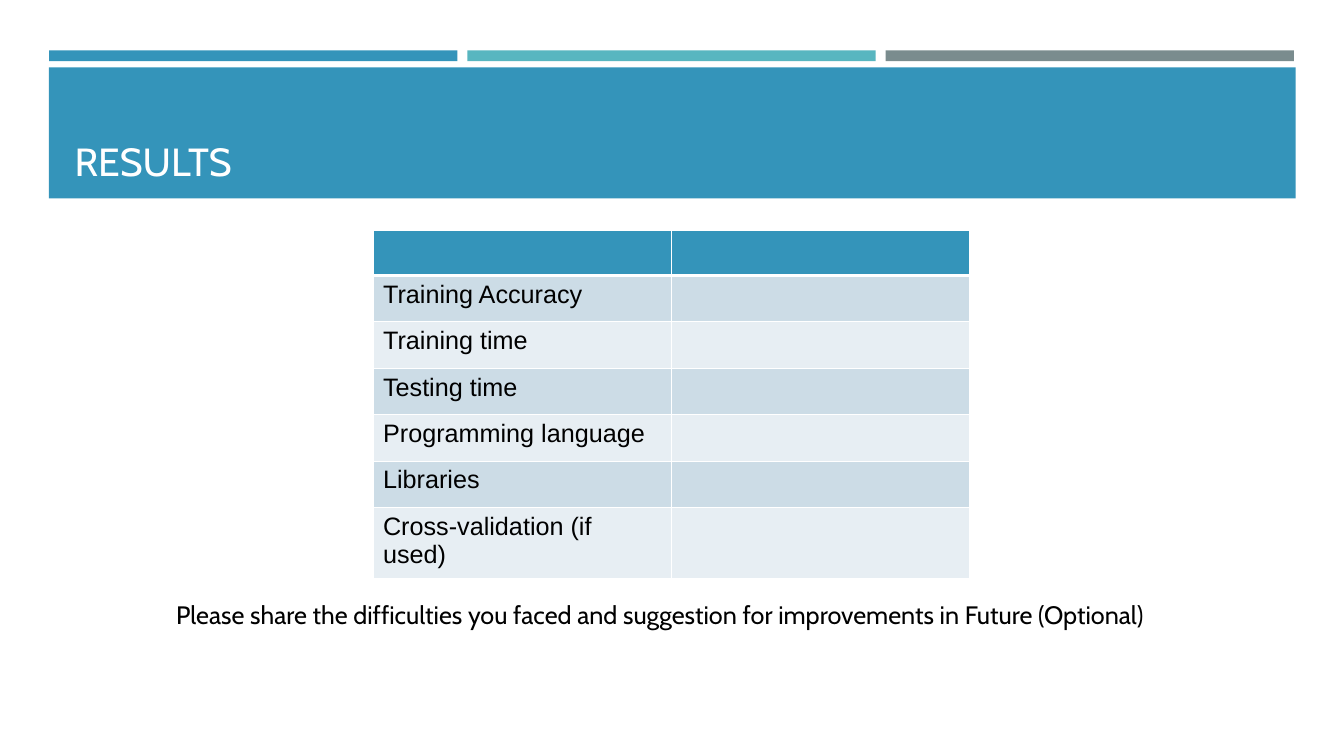
from dataclasses import dataclass

from lxml import etree
from pptx import Presentation
from pptx.dml.color import RGBColor
from pptx.enum.shapes import MSO_SHAPE
from pptx.enum.text import MSO_ANCHOR
from pptx.oxml.ns import qn
from pptx.util import Cm, Pt

RECTANGLE = MSO_SHAPE.RECTANGLE
TOP, BOTTOM = MSO_ANCHOR.TOP, MSO_ANCHOR.BOTTOM


@dataclass(frozen=True)
class Theme:
    blue: str = "3494BA"
    teal: str = "58B6C0"
    grey: str = "7A8C8E"
    white: str = "FFFFFF"
    black: str = "000000"
    bands: tuple = ("CCDCE6", "E7EEF3")
    heading_font: str = "Cabin"
    table_font: str = "Arial"
    title_size: int = 28
    body_size: int = 18
    thin_rule: int = 1
    header_rule: int = 3


class SlideBuilder:
    def __init__(self, page, theme):
        self.page = page
        self.theme = theme

    def bar(self, left, top, width, height, color):
        box = self.page.shapes.add_shape(
            RECTANGLE, Cm(left), Cm(top), Cm(width), Cm(height))
        box.shadow.inherit = False
        box.fill.solid()
        box.fill.fore_color.rgb = RGBColor.from_string(color)
        box.line.fill.background()

    def set_text(self, frame, text, font, size, color):
        frame.text = text
        for para in frame.paragraphs:
            para.font.size = Pt(size)
            for span in para.runs:
                span.font.name = font
                span.font.size = Pt(size)
                span.font.bold = False
                span.font.color.rgb = RGBColor.from_string(color)

    def text(self, left, top, width, height, text, size, color, anchor=TOP):
        box = self.page.shapes.add_textbox(Cm(left), Cm(top), Cm(width), Cm(height))
        frame = box.text_frame
        frame.word_wrap = True
        frame.vertical_anchor = anchor
        self.set_text(frame, text, self.theme.heading_font, size, color)

    def border(self, cell, side, points):
        line = etree.SubElement(cell._tc.get_or_add_tcPr(), qn(f"a:ln{side}"),
                                w=str(Pt(points)))
        fill = etree.SubElement(line, qn("a:solidFill"))
        etree.SubElement(fill, qn("a:srgbClr"), val=self.theme.white)

    def table(self, left, top, column_width, row_heights, rows):
        theme = self.theme
        column_count = len(rows[0])
        frame = self.page.shapes.add_table(
            len(rows), column_count, Cm(left), Cm(top),
            Cm(column_width * column_count), Cm(sum(row_heights)))
        table = frame.table
        for column in table.columns:
            column.width = Cm(column_width)
        for index, (row, height, values) in enumerate(
                zip(table.rows, row_heights, rows)):
            row.height = Cm(height)
            color = theme.bands[(index - 1) % 2] if index else theme.blue
            # The rule between the header and the body is heavier
            rules = {"L": theme.thin_rule, "R": theme.thin_rule,
                     "T": theme.header_rule if index == 1 else theme.thin_rule,
                     "B": theme.header_rule if index == 0 else theme.thin_rule}
            for cell, value in zip(row.cells, values):
                for side, points in rules.items():
                    self.border(cell, side, points)
                cell.fill.solid()
                cell.fill.fore_color.rgb = RGBColor.from_string(color)
                self.set_text(cell.text_frame, value, theme.table_font,
                              theme.body_size, theme.black)


def main():
    deck = Presentation()
    deck.slide_width, deck.slide_height = Cm(33.87), Cm(19.05)
    theme = Theme()
    slide = SlideBuilder(deck.slides.add_slide(deck.slide_layouts[6]), theme)

    # Three accent bars at equal steps
    for index, color in enumerate((theme.blue, theme.teal, theme.grey)):
        slide.bar(1.24 + index * 10.54, 1.27, 10.29, 0.27, color)

    # Title banner
    slide.bar(1.23, 1.7, 31.42, 3.3, theme.blue)
    slide.text(1.63, 1.96, 30.63, 2.82, "RESULTS",
               theme.title_size, theme.white, BOTTOM)

    # Results table with an empty header and empty value column
    measures = ("", "Training Accuracy", "Training time", "Testing time",
                "Programming language", "Libraries", "Cross-validation (if used)")
    row_heights = [1.14] + [1.17] * (len(measures) - 1)
    slide.table(9.4, 5.8, 7.52, row_heights, [(name, "") for name in measures])

    # Closing request
    slide.text(4.19, 14.99, 26.14, 1.02,
               "Please share the difficulties you faced and suggestion "
               "for improvements in Future (Optional)",
               theme.body_size, theme.black)

    deck.save("out.pptx")


if __name__ == "__main__":
    main()
